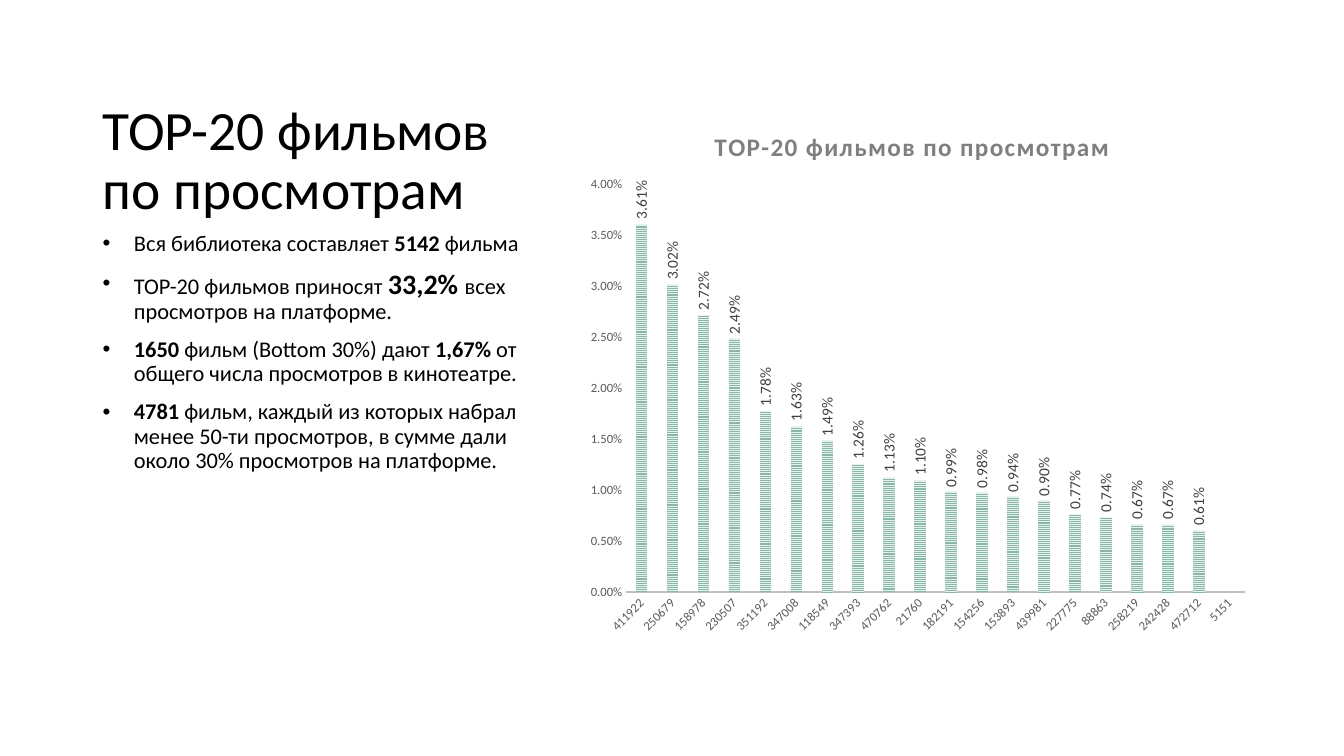
from dataclasses import dataclass

from lxml import etree
from pptx import Presentation
from pptx.chart.data import CategoryChartData
from pptx.dml.color import RGBColor
from pptx.enum.chart import XL_CHART_TYPE, XL_LABEL_POSITION, XL_TICK_MARK
from pptx.enum.dml import MSO_PATTERN
from pptx.enum.text import MSO_ANCHOR
from pptx.oxml import parse_xml
from pptx.oxml.ns import nsdecls, qn
from pptx.util import Inches, Pt

COLUMNS = XL_CHART_TYPE.COLUMN_CLUSTERED
OUTSIDE_END = XL_LABEL_POSITION.OUTSIDE_END
NO_TICK = XL_TICK_MARK.NONE
STRIPES = MSO_PATTERN.NARROW_HORIZONTAL
TOP, BOTTOM = MSO_ANCHOR.TOP, MSO_ANCHOR.BOTTOM


@dataclass(frozen=True)
class Theme:
    font: str = "Calibri"
    text: str = "000000"
    chart_title: str = "7F7F7F"
    axis_text: str = "595959"
    label_text: str = "404040"
    axis_line: str = "BFBFBF"
    stripe: str = "88B8A5"
    stripe_back: str = "E7F1ED"
    title_size: float = 39.6
    body_size: int = 16
    accent_size: int = 20
    chart_title_size: int = 18
    chart_size: int = 10
    axis_size: int = 9
    label_size: int = 11


THEME = Theme()
TITLE = "TOP-20 фильмов по просмотрам"
BODY, BOLD = (THEME.body_size, False), (THEME.body_size, True)
ACCENT = (THEME.accent_size, True)
FACTS = [
    [("Вся библиотека составляет", BODY), (" 5142 ", BOLD), ("фильма", BODY)],
    [("TOP-20 фильмов приносят ", BODY), ("33,2% ", ACCENT),
     ("всех просмотров на платформе.", BODY)],
    [("1650", BOLD), (" фильм (Bottom 30%) дают ", BODY), ("1,67%", BOLD),
     (" от общего числа просмотров в кинотеатре.", BODY)],
    [("4781", BOLD),
     (" фильм, каждый из которых набрал менее 50-ти просмотров, "
      "в сумме дали около 30% просмотров на платформе.", BODY)],
]
VIEWS = {
    "411922": 0.0361, "250679": 0.0302, "158978": 0.0272, "230507": 0.0249,
    "351192": 0.0178, "347008": 0.0163, "118549": 0.0149, "347393": 0.0126,
    "470762": 0.0113, "21760": 0.0110, "182191": 0.0099, "154256": 0.0098,
    "153893": 0.0094, "439981": 0.0090, "227775": 0.0077, "88863": 0.0074,
    "258219": 0.0067, "242428": 0.0067, "472712": 0.0061, "5151": None,
}


def style(font, size, color, bold=False):
    font.name = THEME.font
    font.size = Pt(size)
    font.bold = bold
    font.color.rgb = RGBColor.from_string(color)


def add_text_frame(slide, box, anchor):
    tf = slide.shapes.add_textbox(*map(Inches, box)).text_frame
    tf.word_wrap = True
    tf.vertical_anchor = anchor
    return tf


def add_run(p, text, size, bold=False):
    r = p.add_run()
    r.text = text
    style(r.font, size, THEME.text, bold)


def add_title(slide, box):
    p = add_text_frame(slide, box, BOTTOM).paragraphs[0]
    p.line_spacing = 0.9
    add_run(p, TITLE, THEME.title_size)


def add_bullet(p, indent):
    pPr = p._p.get_or_add_pPr()
    pPr.set("marL", str(Inches(indent)))
    pPr.set("indent", str(Inches(-indent)))
    etree.SubElement(pPr, qn("a:buFont")).set("typeface", "Arial")
    etree.SubElement(pPr, qn("a:buChar")).set("char", "•")


def add_facts(slide, box):
    tf = add_text_frame(slide, box, TOP)
    for i, fact in enumerate(FACTS):
        p = tf.add_paragraph() if i else tf.paragraphs[0]
        add_bullet(p, 0.31)
        p.line_spacing = 0.9
        if i:
            p.space_before = Pt(10)
        for text, (size, bold) in fact:
            add_run(p, text, size, bold)


def rotate_text(parent, degrees):
    for body in parent.xpath("./c:txPr/a:bodyPr"):
        body.set("rot", str(degrees * 60000))
        body.set("vert", "horz")


def place_plot(chart, x, y, w, h):
    plot_area = chart.element.xpath(".//c:plotArea")[0]
    for old in plot_area.xpath("./c:layout"):
        plot_area.remove(old)
    sizes = "".join(f'<c:{tag} val="{val}"/>'
                    for tag, val in zip("xywh", (x, y, w, h)))
    plot_area.insert(0, parse_xml(
        f'<c:layout {nsdecls("c")}><c:manualLayout>'
        '<c:layoutTarget val="inner"/>'
        '<c:xMode val="edge"/><c:yMode val="edge"/>'
        f'{sizes}</c:manualLayout></c:layout>'))


def style_axes(chart):
    for axis in (chart.category_axis, chart.value_axis):
        axis.has_major_gridlines = False
        axis.major_tick_mark = axis.minor_tick_mark = NO_TICK
        style(axis.tick_labels.font, THEME.axis_size, THEME.axis_text)
    line = chart.category_axis.format.line
    line.width = Pt(1.5)
    line.color.rgb = RGBColor.from_string(THEME.axis_line)
    rotate_text(chart.element.xpath(".//c:catAx")[0], -45)
    values = chart.value_axis
    values.format.line.fill.background()
    values.minimum_scale, values.maximum_scale = 0, 0.04
    values.major_unit = 0.005
    values.tick_labels.number_format = "0.00%"
    values.tick_labels.number_format_is_linked = False


def style_columns(plot):
    plot.gap_width, plot.overlap = 164, -22
    plot.vary_by_categories = False
    series = plot.series[0]
    series.invert_if_negative = False
    fill = series.format.fill
    fill.patterned()
    fill.pattern = STRIPES
    fill.fore_color.rgb = RGBColor.from_string(THEME.stripe)
    fill.back_color.rgb = RGBColor.from_string(THEME.stripe_back)
    labels = series.data_labels
    labels.show_value = True
    labels.position = OUTSIDE_END
    labels.number_format = "0.00%"
    labels.number_format_is_linked = False
    style(labels.font, THEME.label_size, THEME.label_text)


def add_views_chart(slide, box):
    data = CategoryChartData(number_format="0.00%")
    data.categories = list(VIEWS)
    data.add_series("Series 1", list(VIEWS.values()))
    chart = slide.shapes.add_chart(COLUMNS, *map(Inches, box), data).chart
    style(chart.font, THEME.chart_size, THEME.text)
    chart.has_legend = False
    chart.has_title = True
    chart.chart_title.include_in_layout = False
    r = chart.chart_title.text_frame.paragraphs[0].add_run()
    r.text = TITLE
    style(r.font, THEME.chart_title_size, THEME.chart_title, True)
    r._r.get_or_add_rPr().set("spc", "100")
    style_axes(chart)
    style_columns(chart.plots[0])
    rotate_text(chart.element.xpath(".//c:ser/c:dLbls")[0], -90)
    place_plot(chart, 0.08, 0.14, 0.91, 0.76)


def main():
    prs = Presentation()
    prs.slide_width, prs.slide_height = Inches(13.33), Inches(7.5)
    slide = prs.slides.add_slide(prs.slide_layouts[6])
    add_title(slide, (0.92, 0.5, 4.3, 1.75))
    add_views_chart(slide, (5.67, 1.08, 6.75, 5.33))
    add_facts(slide, (0.92, 2.25, 4.39, 4.17))
    prs.save("out.pptx")


if __name__ == "__main__":
    main()
